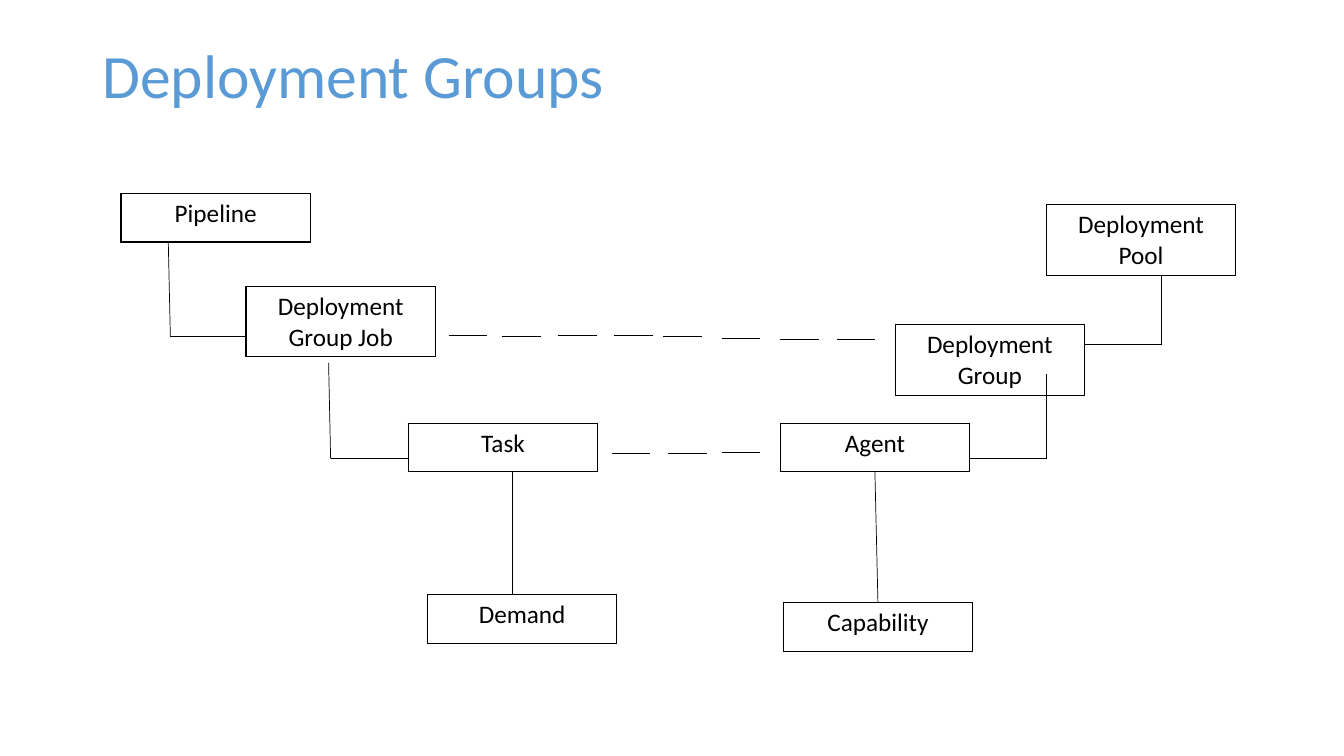
"""Build the Deployment Groups slide: single-cell boxes linked by thin lines."""
from lxml.etree import SubElement
from pptx import Presentation
from pptx.dml.color import RGBColor
from pptx.enum.shapes import MSO_CONNECTOR
from pptx.enum.text import MSO_ANCHOR, PP_ALIGN
from pptx.oxml.ns import qn
from pptx.util import Inches, Pt

BLACK = RGBColor(0x00, 0x00, 0x00)
WHITE = RGBColor(0xFF, 0xFF, 0xFF)
TITLE_BLUE = RGBColor(0x5B, 0x9B, 0xD5)
FONT = "Calibri"
SLIDE_WIDTH, SLIDE_HEIGHT = Inches(13.33), Inches(7.5)
COLUMNS, ROWS = 80, 45
BOX_WIDTH, BOX_HEIGHT, TALL_BOX_HEIGHT = 11.28, 2.88, 4.2
DASH_LENGTH = 2.3

BOXES = [
    ("Pipeline", 7.2, 11.52, BOX_HEIGHT),
    ("Deployment Group Job", 14.64, 17.04, TALL_BOX_HEIGHT),
    ("Task", 24.3, 25.2, BOX_HEIGHT),
    ("Deployment Pool", 62.28, 12.18, TALL_BOX_HEIGHT),
    ("Deployment Group", 53.28, 19.32, TALL_BOX_HEIGHT),
    ("Agent", 46.44, 25.2, BOX_HEIGHT),
    ("Demand", 25.44, 35.4, BOX_HEIGHT),
    ("Capability", 46.62, 35.88, BOX_HEIGHT),
]
ELBOWS = [
    ((10.02, 14.46), (10.14, 20), (14.64, 20)),
    ((19.56, 21.6), (19.68, 27.3), (24.3, 27.3)),
    ((62.28, 22.26), (62.28, 27.3), (57.72, 27.3)),
    ((69.12, 16.38), (69.12, 20.52), (64.56, 20.52)),
]
DASHES = [
    (26.7, 19.98), (29.88, 20.04), (33.24, 19.98), (36.54, 19.98),
    (39.48, 20.04), (42.96, 20.16), (46.44, 20.22), (49.8, 20.22),
    (36.42, 27), (39.78, 27), (42.96, 26.94),
]


def across(columns):
    """Turn grid columns into a horizontal length."""
    return round(SLIDE_WIDTH * columns / COLUMNS)


def down(rows):
    """Turn grid rows into a vertical length."""
    return round(SLIDE_HEIGHT * rows / ROWS)


def style_text(paragraph, size, color):
    """Format every run of a paragraph."""
    for run in paragraph.runs:
        run.font.name = FONT
        run.font.size = Pt(size)
        run.font.color.rgb = color


def add_title(slide, text):
    """Add the slide heading."""
    shape = slide.shapes.add_textbox(across(5.5), down(2.4), across(69), down(8.7))
    frame = shape.text_frame
    frame.word_wrap = True
    frame.vertical_anchor = MSO_ANCHOR.TOP
    frame.text = text
    frame.paragraphs[0].line_spacing = 0.9
    style_text(frame.paragraphs[0], 44, TITLE_BLUE)


def add_borders(cell):
    """Outline all four sides of a table cell in black."""
    properties = cell._tc.get_or_add_tcPr()
    for side in ("a:lnL", "a:lnR", "a:lnT", "a:lnB"):
        border = SubElement(properties, qn(side), w=str(Pt(1)))
        fill = SubElement(border, qn("a:solidFill"))
        SubElement(fill, qn("a:srgbClr"), val=str(BLACK))


def add_box(slide, text, column, row, height):
    """Add a labelled single-cell table and return its frame."""
    shape = slide.shapes.add_table(
        1, 1, across(column), down(row), across(BOX_WIDTH), down(height))
    table = shape.table
    table.first_row = False
    table.horz_banding = False
    table.rows[0].height = down(BOX_HEIGHT)
    shape.height = down(height)
    cell = table.cell(0, 0)
    add_borders(cell)
    cell.fill.solid()
    cell.fill.fore_color.rgb = WHITE
    cell.text_frame.text = text
    paragraph = cell.text_frame.paragraphs[0]
    paragraph.alignment = PP_ALIGN.CENTER
    style_text(paragraph, 18, BLACK)
    return shape


def add_line(slide, start, end):
    """Add a thin black line between two grid points."""
    connector = slide.shapes.add_connector(
        MSO_CONNECTOR.STRAIGHT,
        across(start[0]), down(start[1]), across(end[0]), down(end[1]))
    connector.line.color.rgb = BLACK
    connector.line.width = Pt(0.5)
    SubElement(connector._element.spPr, qn("a:effectLst"))
    return connector


def main():
    """Build and save the slide."""
    presentation = Presentation()
    presentation.slide_width = SLIDE_WIDTH
    presentation.slide_height = SLIDE_HEIGHT
    slide = presentation.slides.add_slide(presentation.slide_layouts[6])
    add_title(slide, "Deployment Groups")
    boxes = {box[0]: add_box(slide, *box) for box in BOXES}
    for top, corner, end in ELBOWS:
        add_line(slide, top, corner)
        add_line(slide, corner, end)
    for column, row in DASHES:
        add_line(slide, (column, row), (column + DASH_LENGTH, row))
    add_line(slide, (30.48, 28.08), (30.48, 35.4))
    agent_link = add_line(slide, (52.08, 28.08), (52.14, 35.88))
    agent_link.begin_connect(boxes["Agent"], 2)
    agent_link.end_connect(boxes["Capability"], 0)
    presentation.save("out.pptx")


if __name__ == "__main__":
    main()
